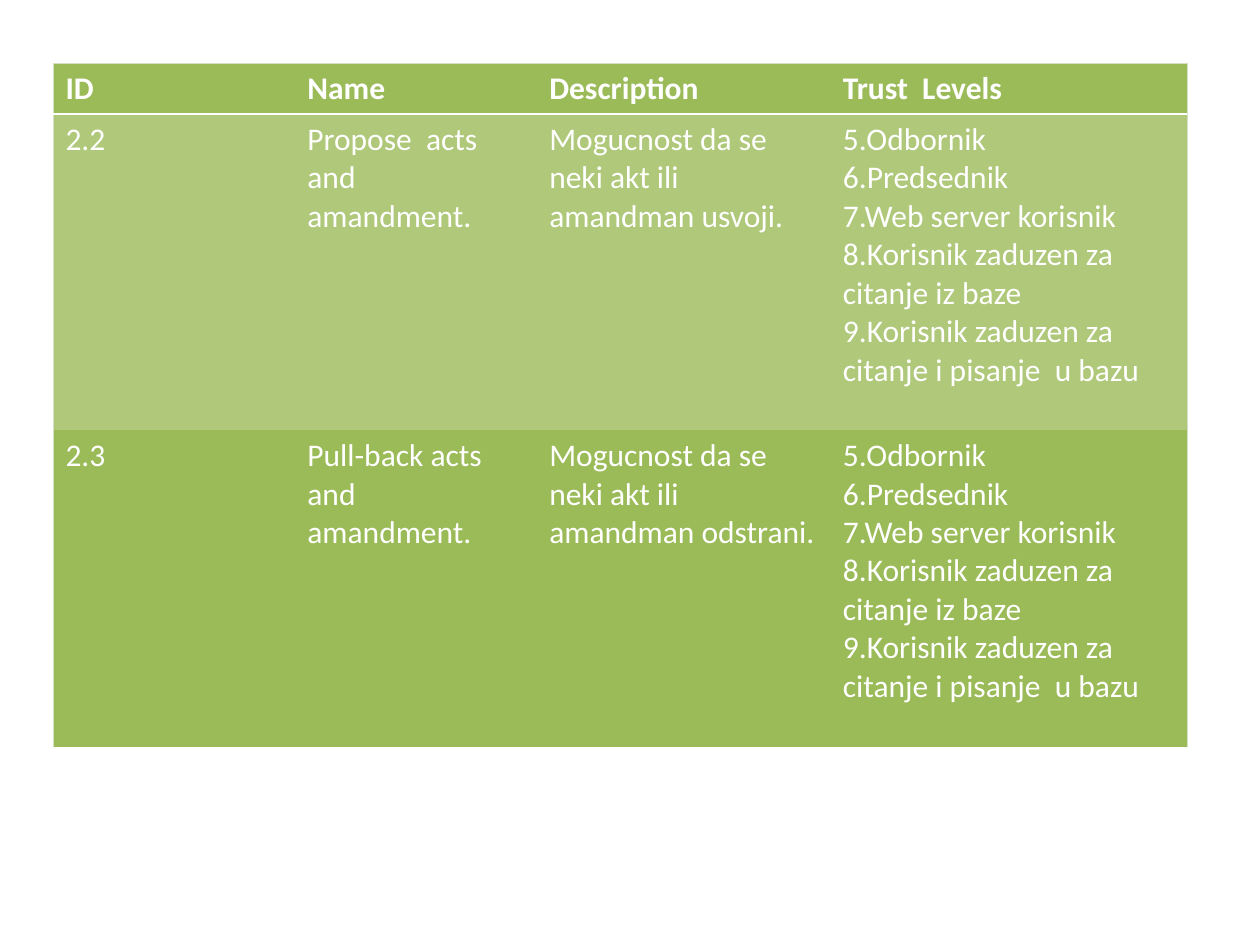
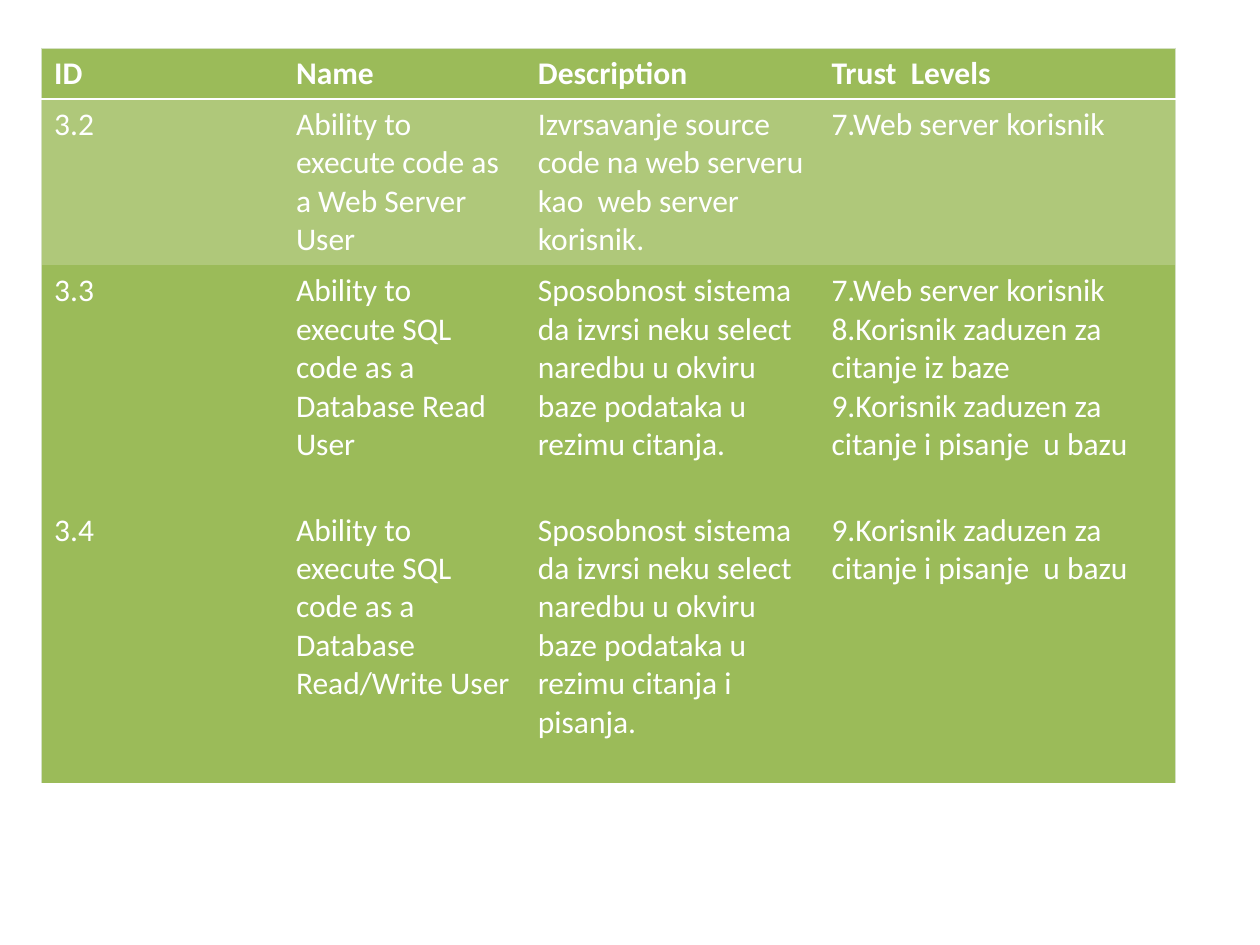
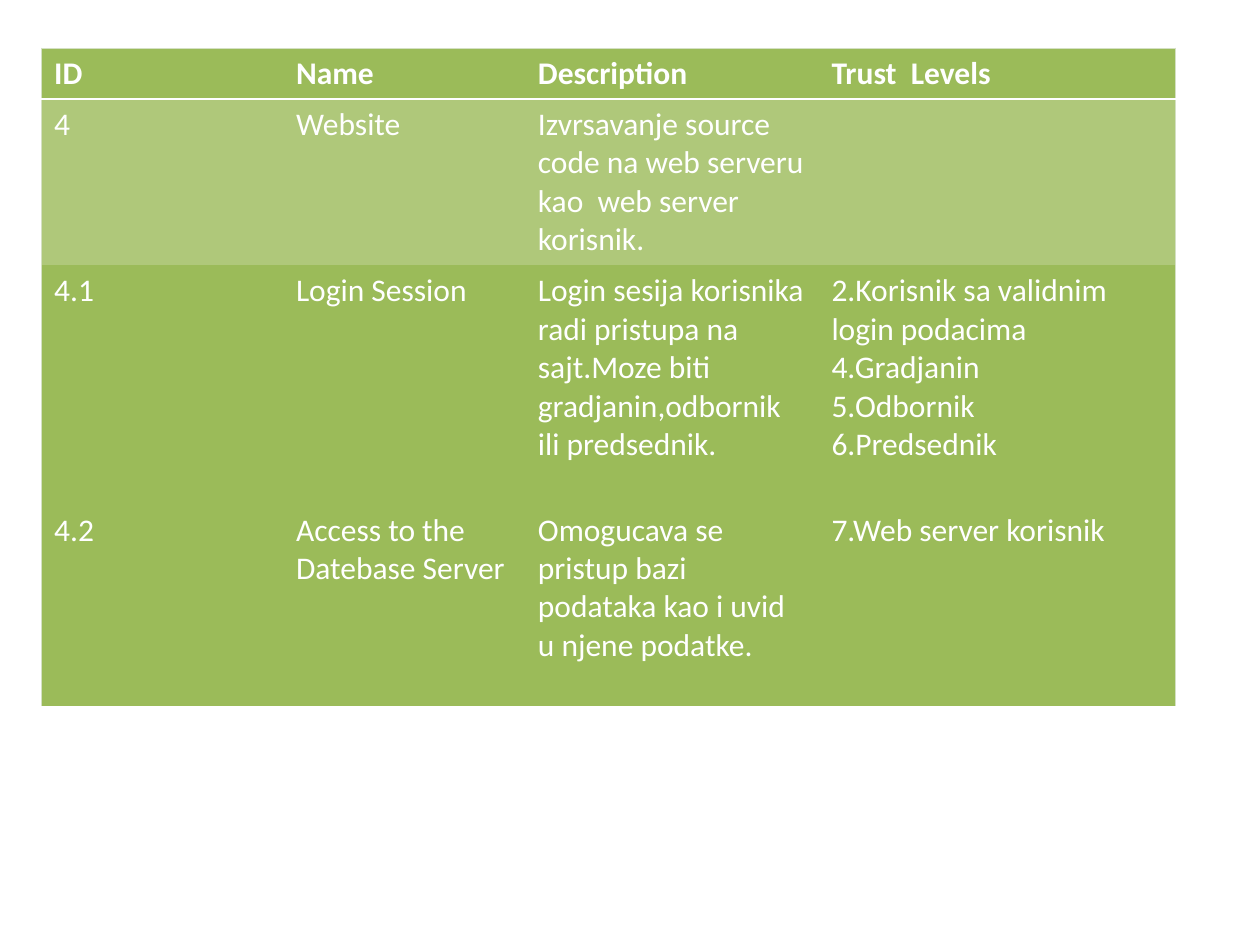
from dataclasses import dataclass

from lxml import etree
from pptx import Presentation
from pptx.dml.color import RGBColor
from pptx.oxml.ns import qn
from pptx.util import Emu, Pt

PX = 9144  # 100 px to the inch
SLIDE_WIDTH, SLIDE_HEIGHT = 1000, 750
BLANK_LAYOUT = 6

GREEN = RGBColor(0x9B, 0xBB, 0x59)
LIGHT_GREEN = RGBColor(0xAF, 0xC8, 0x7A)
PALE_EDGE = RGBColor(0xD4, 0xE0, 0xC3)
WHITE = RGBColor(0xFF, 0xFF, 0xFF)

FONT = "Calibri"
TEXT_SIZE = Pt(18)
OUTER_WIDTH = Pt(0.34)
RULE_WIDTH = Pt(1.47)

COLUMN_WIDTHS = (192, 192, 233, 283)
HEADER_HEIGHT = 40
HEADINGS = ("ID", "Name", "Description", "Trust  Levels")

COUNCILLOR = "5.Odbornik"
PRESIDENT = "6.Predsednik"
WEB_USER = "7.Web server korisnik"
DB_READER = "8.Korisnik zaduzen za citanje iz baze"
DB_WRITER = "9.Korisnik zaduzen za citanje i pisanje  u bazu"
ACT_LEVELS = (COUNCILLOR, PRESIDENT, WEB_USER, DB_READER, DB_WRITER)
RUN_SOURCE_CODE = "Izvrsavanje source code na web serveru kao  web server korisnik."


@dataclass(frozen=True)
class Asset:
    id: str
    name: str
    description: str
    trust_levels: tuple[str, ...]
    height: int

    def texts(self) -> tuple[str, ...]:
        return self.id, self.name, self.description, "\n".join(self.trust_levels)


@dataclass(frozen=True)
class AssetTable:
    left: int
    top: int
    assets: tuple[Asset, ...]


ASSET_TABLES = (
    AssetTable(42, 50, (
        Asset("2.2", "Propose  acts and amandment.",
              "Mogucnost da se neki akt ili amandman usvoji.", ACT_LEVELS, 251),
        Asset("2.3", "Pull-back acts and amandment.",
              "Mogucnost da se neki akt ili amandman odstrani.", ACT_LEVELS, 251),
    )),
    AssetTable(33, 38, (
        Asset("3.2", "Ability to execute code as a Web Server User",
              RUN_SOURCE_CODE, (WEB_USER,), 132),
        Asset("3.3", "Ability to execute SQL code as a Database Read User",
              "Sposobnost sistema da izvrsi neku select naredbu u okviru baze "
              "podataka u rezimu citanja.",
              (WEB_USER, DB_READER, DB_WRITER), 190),
        Asset("3.4", "Ability to execute SQL code as a Database Read/Write User",
              "Sposobnost sistema da izvrsi neku select naredbu u okviru baze "
              "podataka u rezimu citanja i pisanja.",
              (DB_WRITER,), 221),
    )),
    AssetTable(33, 38, (
        Asset("4", "Website", RUN_SOURCE_CODE, (), 132),
        Asset("4.1", "Login Session",
              "Login sesija korisnika radi pristupa na sajt.Moze biti "
              "gradjanin,odbornik ili predsednik.",
              ("2.Korisnik sa validnim login podacima", "4.Gradjanin",
               COUNCILLOR, PRESIDENT), 190),
        Asset("4.2", "Access to the Datebase Server",
              "Omogucava se pristup bazi podataka kao i uvid u njene podatke.",
              (WEB_USER,), 160),
    )),
)


def px(length: int) -> Emu:
    return Emu(length * PX)


def set_borders(cell, row: int, column: int) -> None:
    """Draw the pale outer edge and the white rule under the header only."""
    outer, rule = (PALE_EDGE, OUTER_WIDTH), (WHITE, RULE_WIDTH)
    last_column = len(COLUMN_WIDTHS) - 1
    edges = {
        "a:lnL": outer if column == 0 else None,
        "a:lnR": outer if column == last_column else None,
        "a:lnT": {0: outer, 1: rule}.get(row),
        "a:lnB": rule if row == 0 else None,
    }
    properties = cell._tc.get_or_add_tcPr()
    for tag, edge in edges.items():
        line = etree.SubElement(properties, qn(tag))
        if edge is None:
            etree.SubElement(line, qn("a:noFill"))
            continue
        color, width = edge
        line.set("w", str(width))
        fill = etree.SubElement(line, qn("a:solidFill"))
        etree.SubElement(fill, qn("a:srgbClr"), val=str(color))


def fill_cell(cell, text: str, row: int, column: int) -> None:
    set_borders(cell, row, column)
    cell.fill.solid()
    cell.fill.fore_color.rgb = LIGHT_GREEN if row == 1 else GREEN
    cell.text_frame.text = text
    for paragraph in cell.text_frame.paragraphs:
        for run in paragraph.runs:
            run.font.name = FONT
            run.font.size = TEXT_SIZE
            run.font.bold = row == 0
            run.font.color.rgb = WHITE


def add_asset_table(slide, content: AssetTable) -> None:
    heights = [HEADER_HEIGHT, *(asset.height for asset in content.assets)]
    rows = [HEADINGS, *(asset.texts() for asset in content.assets)]
    table = slide.shapes.add_table(
        len(rows), len(COLUMN_WIDTHS), px(content.left), px(content.top),
        px(sum(COLUMN_WIDTHS)), px(sum(heights))).table
    table.horz_banding = False
    for column, width in zip(table.columns, COLUMN_WIDTHS):
        column.width = px(width)
    for row, (height, texts) in enumerate(zip(heights, rows)):
        table.rows[row].height = px(height)
        for column, text in enumerate(texts):
            fill_cell(table.cell(row, column), text, row, column)


def main() -> None:
    presentation = Presentation()
    presentation.slide_width = px(SLIDE_WIDTH)
    presentation.slide_height = px(SLIDE_HEIGHT)
    for content in ASSET_TABLES:
        slide = presentation.slides.add_slide(presentation.slide_layouts[BLANK_LAYOUT])
        add_asset_table(slide, content)
    presentation.save("out.pptx")


if __name__ == "__main__":
    main()
